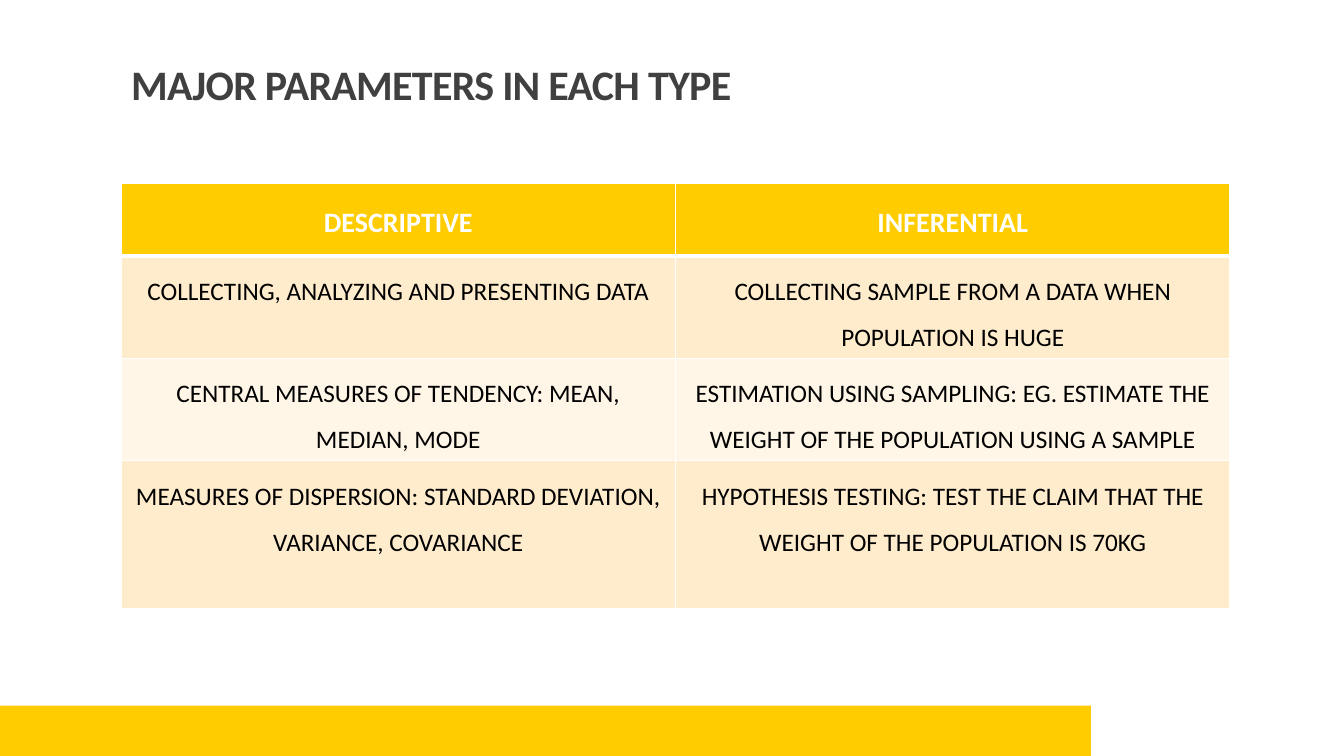
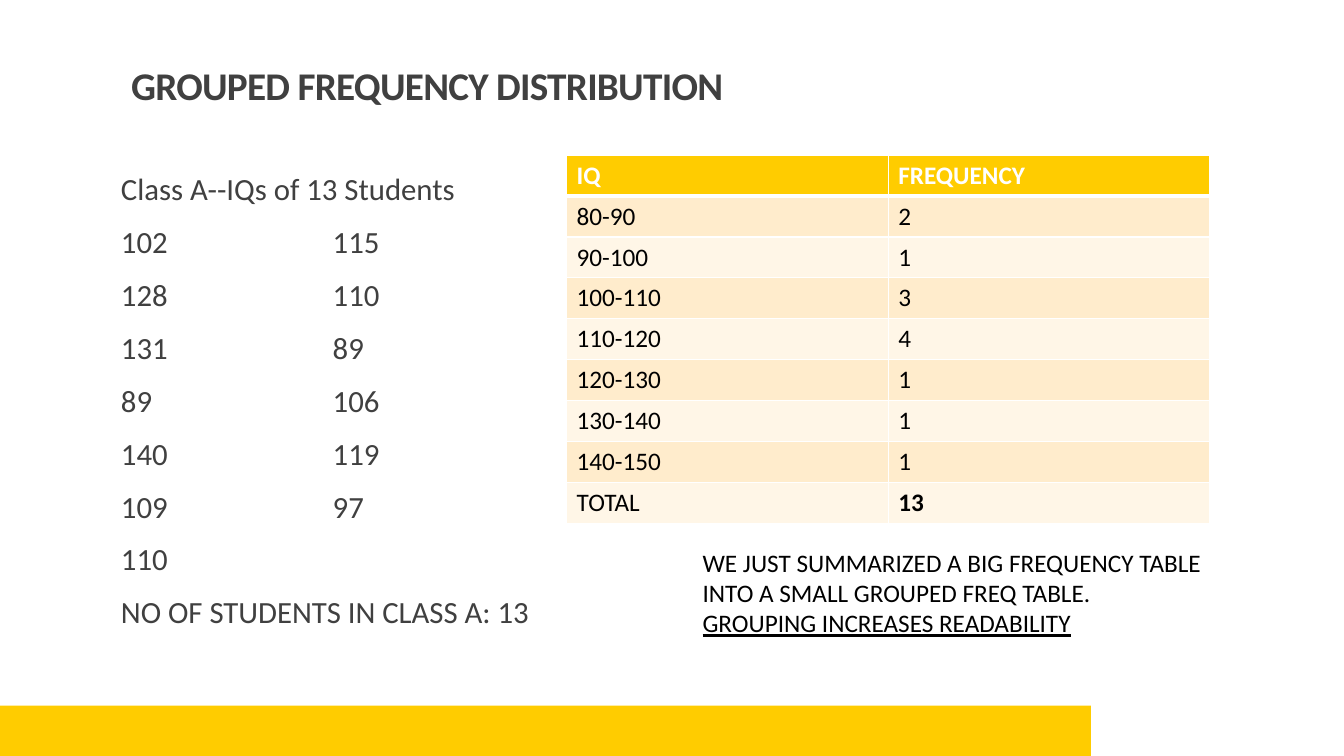
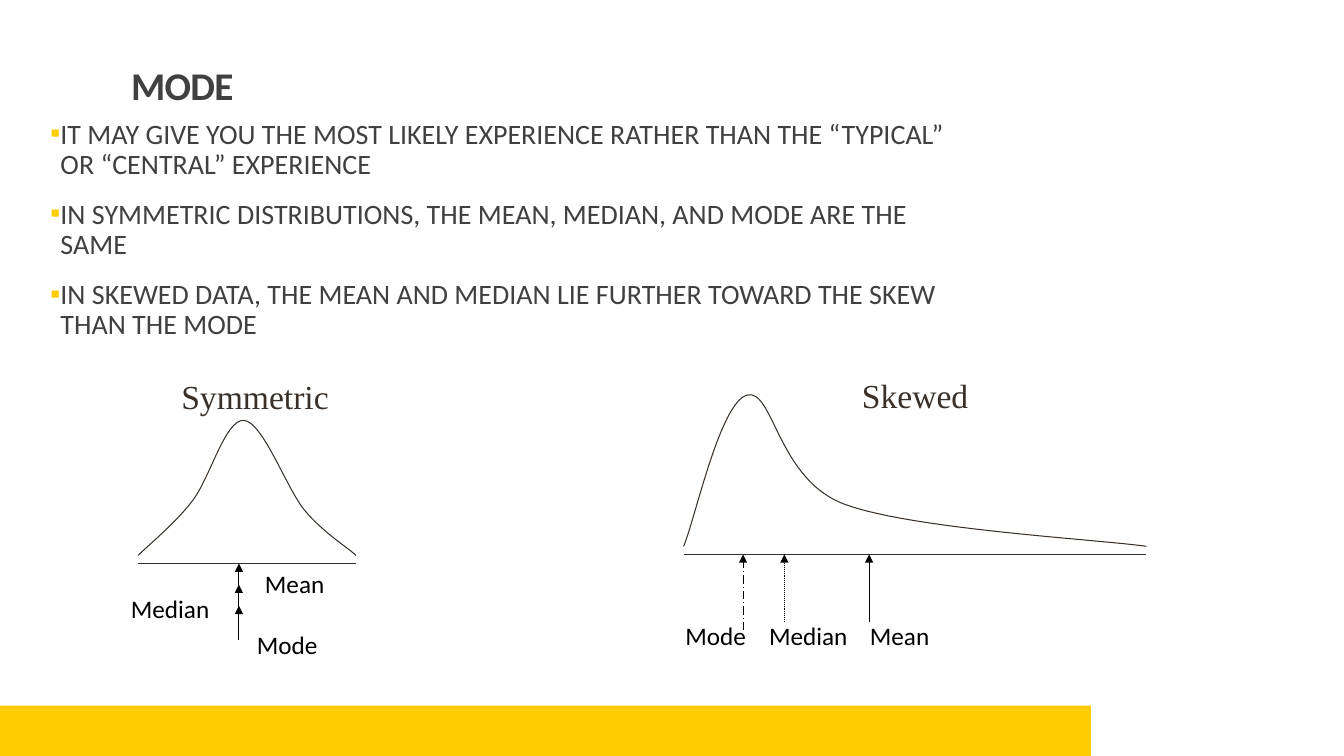
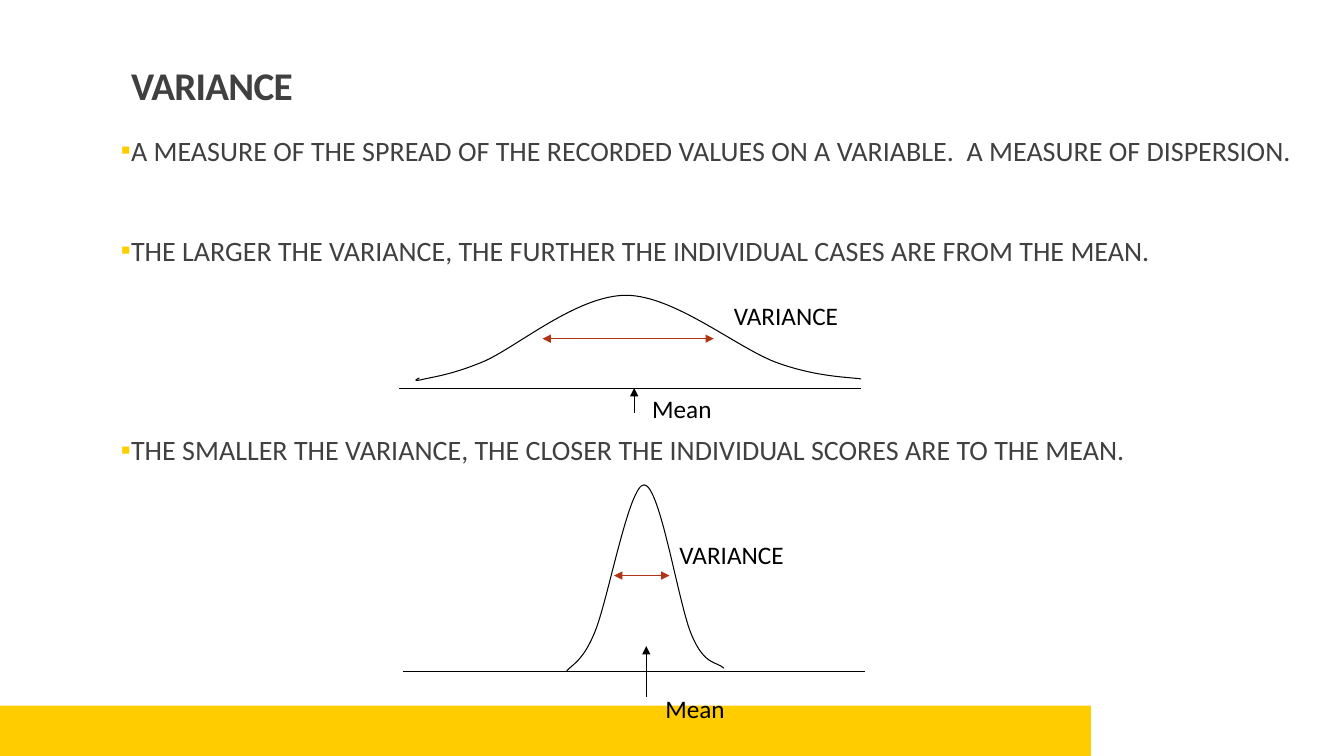
from lxml import etree
from pptx import Presentation
from pptx.dml.color import RGBColor
from pptx.enum.dml import MSO_LINE
from pptx.enum.shapes import MSO_CONNECTOR, MSO_SHAPE
from pptx.enum.text import MSO_ANCHOR, MSO_AUTO_SIZE, PP_ALIGN
from pptx.oxml.ns import qn
from pptx.util import Inches, Pt

YELLOW = RGBColor(0xFF, 0xCC, 0x00)
ROW_DARK = RGBColor(0xFF, 0xEC, 0xCC)
ROW_LIGHT = RGBColor(0xFF, 0xF6, 0xE7)
GREY = RGBColor(0x40, 0x40, 0x40)
BROWN = RGBColor(0x39, 0x30, 0x2A)
RED = RGBColor(0xB2, 0x32, 0x14)
BLACK = RGBColor(0, 0, 0)
WHITE = RGBColor(0xFF, 0xFF, 0xFF)

FONT = "Calibri"
SERIF = "Times New Roman"
TITLE_ONLY = 5
BODY_PITCH = 35.7  # points from one 20 pt body line to the next

# Curves are cubic Bezier points, in inches from the left end of the axis.
SYMMETRIC_CURVE = [
    (0, -0.08), (0.09, -0.17), (0.36, -0.39), (0.53, -0.61),
    (0.71, -0.83), (0.86, -1.43), (1.05, -1.42),
    (1.24, -1.4), (1.47, -0.75), (1.65, -0.53),
    (1.84, -0.3), (2.08, -0.16), (2.16, -0.08)]
SKEWED_CURVE = [
    (0, -0.08), (0.11, -0.33), (0.36, -1.51), (0.63, -1.58),
    (0.89, -1.65), (0.93, -0.75), (1.59, -0.5),
    (2.25, -0.25), (4.09, -0.15), (4.59, -0.08)]
WIDE_CURVE = [
    (0.2, -0.1), (0.2, -0.1), (0.11, -0.06), (0.21, -0.08),
    (0.32, -0.11), (0.49, -0.12), (0.83, -0.26),
    (1.16, -0.4), (1.76, -0.92), (2.25, -0.92),
    (2.73, -0.92), (3.36, -0.39), (3.75, -0.25),
    (4.14, -0.11), (4.44, -0.11), (4.58, -0.09)]
NARROW_CURVE = [
    (1.62, 0), (1.66, -0.06), (1.78, -0.09), (1.9, -0.39),
    (2.03, -0.7), (2.24, -1.86), (2.39, -1.85),
    (2.55, -1.84), (2.73, -0.66), (2.86, -0.36),
    (2.99, -0.05), (3.11, -0.1), (3.18, -0.03)]


def set_font(font, size, color, name=FONT, bold=False):
    font.name, font.size, font.bold = name, Pt(size), bold
    font.color.rgb = color


def add_titled_slide(presentation, title, size=28):
    slide = presentation.slides.add_slide(presentation.slide_layouts[TITLE_ONLY])
    shape = slide.shapes.title
    shape.left, shape.top = Inches(1.2), Inches(0.31)
    shape.width, shape.height = Inches(11), Inches(0.82)
    frame = shape.text_frame
    frame.text = title
    frame.auto_size = MSO_AUTO_SIZE.NONE
    frame.vertical_anchor = MSO_ANCHOR.BOTTOM
    paragraph = frame.paragraphs[0]
    paragraph.alignment = PP_ALIGN.LEFT
    paragraph.line_spacing = 0.85
    set_font(paragraph.font, size, GREY, bold=True)
    paragraph.runs[0]._r.get_or_add_rPr().set("spc", "-50")
    return slide


def move_band_to_layout(slide):
    """Draw the bottom band once and hand it to the layout all slides use."""
    band = slide.shapes.add_shape(
        MSO_SHAPE.RECTANGLE, 0, Inches(7), Inches(10.82), Inches(0.5))
    band.shadow.inherit = False
    band.fill.solid()
    band.fill.fore_color.rgb = YELLOW
    band.line.fill.background()
    slide.slide_layout.shapes.element.insert(2, band.element)


def add_text(slide, left, top, width, height, lines, size=18, color=BLACK, name=FONT):
    box = slide.shapes.add_textbox(
        Inches(left), Inches(top), Inches(width), Inches(height))
    frame = box.text_frame
    frame.word_wrap = True
    frame.text = "\n".join(lines)
    for paragraph in frame.paragraphs:
        set_font(paragraph.font, size, color, name)
    return frame


def add_body(slide, left, top, width, height, lines, size=20):
    frame = add_text(slide, left, top, width, height, lines, size, GREY)
    frame.margin_left = frame.margin_right = 0
    for paragraph in frame.paragraphs:
        paragraph.line_spacing = 0.9
        paragraph.space_before, paragraph.space_after = Pt(12), Pt(2)
    return frame.paragraphs


def add_bullets(paragraphs):
    for paragraph in paragraphs:
        properties = paragraph._p.get_or_add_pPr()
        properties.set("marL", str(Inches(0.1)))
        properties.set("indent", str(Inches(-0.1)))
        color = etree.SubElement(properties, qn("a:buClr"))
        etree.SubElement(color, qn("a:srgbClr"), val=str(YELLOW))
        etree.SubElement(properties, qn("a:buFont"), typeface=FONT)
        etree.SubElement(properties, qn("a:buChar"), char="▪")


def add_tab_stop(paragraph, position):
    tabs = etree.SubElement(paragraph._p.get_or_add_pPr(), qn("a:tabLst"))
    etree.SubElement(tabs, qn("a:tab"), pos=str(Inches(position)), algn="l")


def add_bottom_border(cell, weight):
    border = etree.Element(qn("a:lnB"), w=str(Pt(weight)))
    fill = etree.SubElement(border, qn("a:solidFill"))
    etree.SubElement(fill, qn("a:srgbClr"), val=str(WHITE))
    cell._tc.get_or_add_tcPr().insert(0, border)


def add_banded_table(slide, left, top, width, row_heights, rows,
                     header_size=18, alignment=PP_ALIGN.LEFT, line_spacing=1.0):
    columns = len(rows[0])
    table = slide.shapes.add_table(
        len(rows), columns, Inches(left), Inches(top),
        Inches(width), Inches(sum(row_heights))).table
    for row_index, values in enumerate(rows):
        table.rows[row_index].height = Inches(row_heights[row_index])
        header = row_index == 0
        band = ROW_DARK if row_index % 2 else ROW_LIGHT
        for column, value in enumerate(values):
            cell = table.cell(row_index, column)
            cell.text = value
            cell.fill.solid()
            cell.fill.fore_color.rgb = YELLOW if header else band
            if header:
                add_bottom_border(cell, 3)
            paragraph = cell.text_frame.paragraphs[0]
            paragraph.alignment = alignment
            paragraph.line_spacing = line_spacing
            set_font(paragraph.font, header_size if header else 18,
                     WHITE if header else BLACK, bold=header)
    return table


def add_line(slide, start, end, color=BLACK, weight=0.75, dash=None, arrows=()):
    """Draw a line; arrows names the ends ("headEnd", "tailEnd") that get a tip."""
    connector = slide.shapes.add_connector(
        MSO_CONNECTOR.STRAIGHT, *[Inches(value) for value in (*start, *end)])
    connector.line.color.rgb = color
    connector.line.width = Pt(weight)
    if dash:
        connector.line.dash_style = dash
    for arrow_end in arrows:
        etree.SubElement(connector.line._get_or_add_ln(), qn(f"a:{arrow_end}"),
                         type="triangle")
    etree.SubElement(connector.element.spPr, qn("a:effectLst"))


def add_curve(slide, left, baseline, controls, color):
    """Build the control polygon, then turn each three segments into one Bezier."""
    points = [(Inches(left + x), Inches(baseline + y)) for x, y in controls]
    builder = slide.shapes.build_freeform(*points[0])
    builder.add_line_segments(points[1:], close=False)
    curve = builder.convert_to_shape()
    curve.shadow.inherit = False
    curve.fill.background()
    curve.line.color.rgb = color
    curve.line.width = Pt(0.75)
    segments = list(curve.element.iter(qn("a:lnTo")))
    outline = segments[0].getparent()
    for first in range(0, len(segments), 3):
        bezier = etree.SubElement(outline, qn("a:cubicBezTo"))
        for segment in segments[first:first + 3]:
            bezier.append(segment[0])
            outline.remove(segment)


def add_distribution(slide, left, baseline, width, controls, labels, arrows,
                     color=BLACK, heading=None, spread=None):
    """Draw a curve over its axis.

    Measured from the axis's left end: labels are (text, x, y), arrows are
    (x, tail, tip, dash), heading is (text, x, y), spread is (x1, x2, y).
    """
    add_curve(slide, left, baseline, controls, color)
    add_line(slide, (left, baseline), (left + width, baseline), color)
    for x, tail, tip, dash in arrows:
        add_line(slide, (left + x, baseline + tail), (left + x, baseline + tip),
                 dash=dash, arrows=["tailEnd"])
    for text, x, y in labels:
        add_text(slide, left + x, baseline + y, 1.5, 0.4, [text])
    if heading:
        text, x, y = heading
        add_text(slide, left + x, baseline + y, 2.08, 0.5, [text], 24, BROWN, SERIF)
    if spread:
        x1, x2, y = spread
        add_line(slide, (left + x1, baseline + y), (left + x2, baseline + y),
                 RED, 1, arrows=["headEnd", "tailEnd"])


def build_parameters_slide(presentation):
    slide = add_titled_slide(presentation, "MAJOR PARAMETERS IN EACH TYPE", 30)
    move_band_to_layout(slide)
    add_banded_table(slide, 1.2, 1.82, 11, [0.72, 1.01, 1.01, 1.47], [
        ("DESCRIPTIVE", "INFERENTIAL"),
        ("COLLECTING, ANALYZING AND PRESENTING DATA",
         "COLLECTING SAMPLE FROM A DATA WHEN POPULATION IS HUGE"),
        ("CENTRAL MEASURES OF TENDENCY: MEAN, MEDIAN, MODE",
         "ESTIMATION USING SAMPLING: EG. ESTIMATE THE WEIGHT OF THE POPULATION "
         "USING A SAMPLE"),
        ("MEASURES OF DISPERSION: STANDARD DEVIATION, VARIANCE, COVARIANCE",
         "HYPOTHESIS TESTING: TEST THE CLAIM THAT THE WEIGHT OF THE POPULATION "
         "IS 70KG"),
    ], header_size=20, alignment=PP_ALIGN.CENTER, line_spacing=1.5)


def build_frequency_slide(presentation):
    slide = add_titled_slide(presentation, "GROUPED FREQUENCY DISTRIBUTION")
    paragraphs = add_body(slide, 1.2, 1.68, 4.42, 5.48, [
        "Class A--IQs of 13 Students",
        "102\t115", "128\t110", "131\t89", "89\t106", "140\t119", "109\t97", "110",
        "NO OF STUDENTS IN CLASS A: 13"], 22)
    for paragraph in paragraphs[1:-2]:
        add_tab_stop(paragraph, 2.1)

    rows = [("IQ", "FREQUENCY")]
    for low, count in zip(range(80, 150, 10), (2, 1, 3, 4, 1, 1, 1)):
        rows.append((f"{low}-{low + 10}", str(count)))
    rows.append(("TOTAL", "13"))
    row_heights = [3.65 / len(rows)] * len(rows)
    table = add_banded_table(slide, 5.62, 1.54, 6.38, row_heights, rows)
    table.cell(len(rows) - 1, 1).text_frame.paragraphs[0].font.bold = True

    summary = add_text(slide, 6.87, 5.38, 5.75, 1.01, [
        "WE JUST SUMMARIZED A BIG FREQUENCY TABLE",
        "INTO A SMALL GROUPED FREQ TABLE.",
        "GROUPING INCREASES READABILITY"])
    summary.paragraphs[-1].font.underline = True


def build_mode_slide(presentation):
    slide = add_titled_slide(presentation, "MODE")
    add_bullets(add_body(slide, 0.5, 1.14, 9, 4.82, [
        "IT MAY GIVE YOU THE MOST LIKELY EXPERIENCE RATHER THAN THE “TYPICAL” OR "
        "“CENTRAL” EXPERIENCE",
        "IN SYMMETRIC DISTRIBUTIONS, THE MEAN, MEDIAN, AND MODE ARE THE SAME",
        "IN SKEWED DATA, THE MEAN AND MEDIAN LIE FURTHER TOWARD THE SKEW THAN THE "
        "MODE"]))
    add_distribution(
        slide, 1.37, 5.59, 2.16, SYMMETRIC_CURVE,
        labels=[("Median", -0.17, 0.25), ("Mean", 1.16, 0), ("Mode", 1.08, 0.6)],
        arrows=[(1, tip + 0.34, tip, None) for tip in (0, 0.21, 0.42)],
        color=BROWN, heading=("Symmetric", 0.33, -1.91))
    add_distribution(
        slide, 6.78, 5.5, 4.59, SKEWED_CURVE,
        labels=[("Mode", -0.08, 0.6), ("Median", 0.75, 0.6), ("Mean", 1.75, 0.6)],
        arrows=[(0.59, 0.75, 0, MSO_LINE.LONG_DASH_DOT),
                (1, 0.67, 0, MSO_LINE.ROUND_DOT),
                (1.84, 0.67, 0, None)],
        color=BROWN, heading=("Skewed", 1.67, -1.83))


def build_variance_slide(presentation):
    slide = add_titled_slide(presentation, "VARIANCE")
    paragraphs = add_body(slide, 1.2, 1.31, 11.73, 4.82, [
        "A MEASURE OF THE SPREAD OF THE RECORDED VALUES ON A VARIABLE.  A MEASURE OF "
        "DISPERSION.",
        "THE LARGER THE VARIANCE, THE FURTHER THE INDIVIDUAL CASES ARE FROM THE MEAN.",
        "THE SMALLER THE VARIANCE, THE CLOSER THE INDIVIDUAL SCORES ARE TO THE MEAN."])
    for paragraph, skipped_lines in zip(paragraphs, (0, 1, 3)):
        paragraph.space_before = Pt(12 + skipped_lines * BODY_PITCH)
    add_bullets(paragraphs)
    add_distribution(
        slide, 3.96, 3.85, 4.58, WIDE_CURVE,
        labels=[("Mean", 2.41, 0), ("VARIANCE", 3.22, -0.92)],
        arrows=[(2.33, 0.25, 0, None)], spread=(1.42, 3.12, -0.49))
    add_distribution(
        slide, 4, 6.66, 4.58, NARROW_CURVE,
        labels=[("Mean", 2.5, 0.17), ("VARIANCE", 2.64, -1.36)],
        arrows=[(2.41, 0.25, -0.25, None)], spread=(2.09, 2.64, -0.95))


def main():
    presentation = Presentation()
    presentation.slide_width = Inches(13.33)
    presentation.slide_height = Inches(7.5)
    build_parameters_slide(presentation)
    build_frequency_slide(presentation)
    build_mode_slide(presentation)
    build_variance_slide(presentation)
    presentation.save("out.pptx")


if __name__ == "__main__":
    main()
